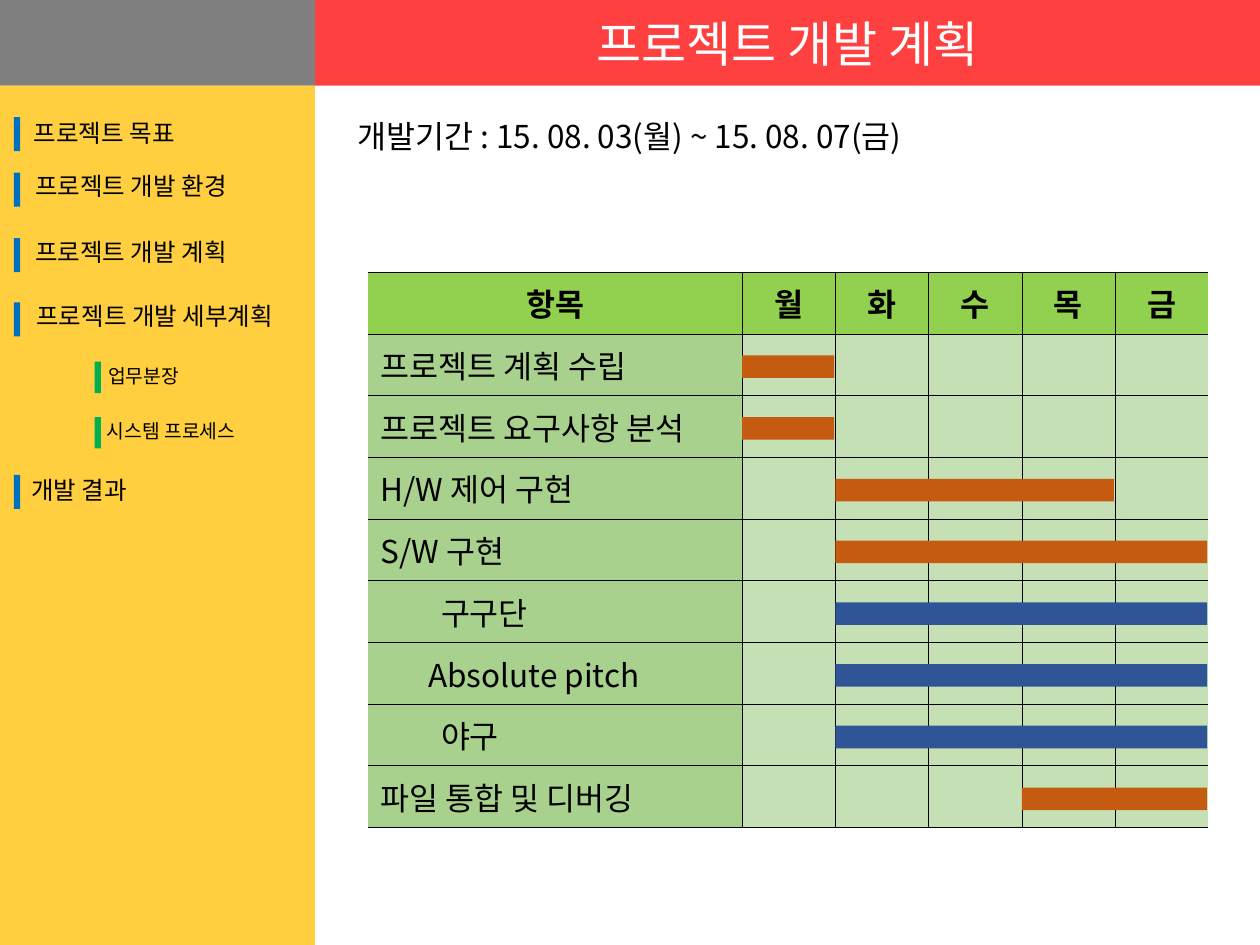
from lxml import etree
from pptx import Presentation
from pptx.dml.color import RGBColor
from pptx.enum.shapes import MSO_SHAPE
from pptx.enum.text import MSO_ANCHOR, MSO_AUTO_SIZE, PP_ALIGN
from pptx.oxml.ns import qn
from pptx.util import Inches, Pt

RECT = MSO_SHAPE.RECTANGLE
MIDDLE = MSO_ANCHOR.MIDDLE
GROW = MSO_AUTO_SIZE.SHAPE_TO_FIT_TEXT
LEFT, CENTER = PP_ALIGN.LEFT, PP_ALIGN.CENTER

NOTO = "Noto Sans CJK KR"
BLUE, GREEN = "0070C0", "00B050"
RUST, NAVY = "C55A11", "2F5597"
ROW, DAY, ITEM = 0.49, 0.74, 2.97
LEFT_X, TOP_Y = 2.92, 2.16
THIN, THICK = 0.23, 0.45

HEADS = ["항목", "월", "화", "수", "목", "금"]
TASKS = [
    ("프로젝트 계획 수립", 0.1, 0, 1, RUST),
    ("프로젝트 요구사항 분석", 0.1, 0, 1, RUST),
    ("H/W 제어 구현", 0.1, 1, 3, RUST),
    ("S/W 구현", 0.1, 1, 4, RUST),
    ("구구단", 0.58, 1, 4, NAVY),
    ("Absolute pitch", 0.48, 1, 4, NAVY),
    ("야구", 0.58, 1, 4, NAVY),
    ("파일 통합 및 디버깅", 0.1, 3, 2, RUST),
]
MENU = [
    ("프로젝트 목표", 0.17, 0.89, 1.39, 0.93),
    ("프로젝트 개발 환경", 0.18, 1.31, 1.83, 1.37),
    ("프로젝트 개발 계획", 0.18, 1.83, 1.83, 1.89),
    ("프로젝트 개발 세부계획", 0.19, 2.34, 2.2, 2.4),
    ("개발 결과", 0.15, 3.72, 1.01, 3.77),
]
SUBS = [
    ("업무분장", 0.76, 2.84, 0.79, 2.87),
    ("시스템 프로세스", 0.75, 3.28, 1.28, 3.31),
]


def color(code):
    return RGBColor.from_string(code)


class Deck:
    def __init__(self):
        self.prs = Presentation()
        self.prs.slide_width = Inches(10)
        self.prs.slide_height = Inches(7.5)
        self.slide = self.prs.slides.add_slide(self.prs.slide_layouts[5])
        self.style = {"size": Pt(18), "name": NOTO, "bold": False}

    def label(self, frame, text, align=LEFT, tint="000000", **extra):
        para = frame.paragraphs[0]
        para.alignment = align
        run = para.add_run()
        run.text = text
        for key, value in {**self.style, **extra}.items():
            setattr(run.font, key, value)
        run.font.color.rgb = color(tint)
        face = etree.SubElement(run._r.get_or_add_rPr(), qn("a:ea"))
        face.set("typeface", NOTO)

    def paint(self, shape, fill, alpha=None):
        shape.fill.solid()
        shape.fill.fore_color.rgb = color(fill)
        if alpha:
            tone = shape._element.spPr.find(".//" + qn("a:srgbClr"))
            etree.SubElement(tone, qn("a:alpha")).set("val", str(alpha * 1000))

    def place(self, shape, box):
        for key, value in zip(("left", "top", "width", "height"), box):
            setattr(shape, key, Inches(value))

    def title(self, text, box, fill, alpha):
        shape = self.slide.shapes.title
        self.place(shape, box)
        self.paint(shape, fill, alpha)
        shape.text_frame.vertical_anchor = MIDDLE
        self.label(shape.text_frame, text, CENTER, "FFFFFF", size=Pt(28))

    def rect(self, box, fill, alpha=None):
        shape = self.slide.shapes.add_shape(RECT, *map(Inches, box))
        shape.shadow.inherit = False
        shape.line.fill.background()
        self.paint(shape, fill, alpha)

    def text(self, text, box, size, wrap=False):
        frame = self.slide.shapes.add_textbox(*map(Inches, box)).text_frame
        frame.word_wrap = wrap
        frame.auto_size = GROW
        self.label(frame, text, size=Pt(size))

    def edges(self, cell, col):
        last = len(HEADS) - 1
        sides = {
            "L": (0, THICK)[col] if col < 2 else THIN,
            "R": THICK if col == 0 else 0 if col == last else THIN,
            "T": THICK,
            "B": THICK,
        }
        props = cell._tc.get_or_add_tcPr()
        for side, width in sides.items():
            line = etree.SubElement(props, qn("a:ln" + side))
            line.set("w", str(Pt(width)))
            if width:
                fill = etree.SubElement(line, qn("a:solidFill"))
                etree.SubElement(fill, qn("a:srgbClr")).set("val", "000000")
            else:
                etree.SubElement(line, qn("a:noFill"))

    def table(self):
        rows, cols = len(TASKS) + 1, len(HEADS)
        box = (LEFT_X, TOP_Y, ITEM + DAY * (cols - 1), ROW * rows)
        frame = self.slide.shapes.add_table(rows, cols, *map(Inches, box))
        grid = frame.table
        for col in range(cols):
            grid.columns[col].width = Inches(DAY if col else ITEM)
        for row in range(rows):
            grid.rows[row].height = Inches(ROW)
            for col in range(cols):
                cell = grid.cell(row, col)
                cell.vertical_anchor = MIDDLE
                self.edges(cell, col)
                cell.fill.solid()
                fill = "92D050" if row == 0 else "C5E0B4" if col else "A9D18E"
                cell.fill.fore_color.rgb = color(fill)
                if row == 0:
                    self.label(cell.text_frame, HEADS[col], CENTER,
                               name="Calibri", bold=True)
                elif col == 0:
                    name, inset = TASKS[row - 1][:2]
                    cell.margin_left = Inches(inset)
                    self.label(cell.text_frame, name)

    def bars(self):
        for row, (_, _, start, days, fill) in enumerate(TASKS):
            self.rect((LEFT_X + ITEM + DAY * start, 2.82 + ROW * row,
                       DAY * days - 0.01, 0.18), fill)

    def menu(self, items, size, tall, mark, fill):
        for text, x, y, width, top in items:
            self.text(text, (x, y, width, tall), size)
            self.rect((mark[0], top, 0.05, mark[1]), fill)


def main():
    deck = Deck()
    deck.table()
    deck.title("프로젝트 개발 계획", (2.5, 0, 7.5, 0.68), "FF0000", 75)
    deck.rect((0, 0, 2.5, 0.68), "7F7F7F")
    deck.rect((0, 0.68, 2.5, 6.82), "FFC000", 75)
    deck.menu(MENU, 14, 0.34, (0.11, 0.27), BLUE)
    deck.menu(SUBS, 11, 0.29, (0.75, 0.25), GREEN)
    deck.bars()
    deck.text("개발기간 : 15. 08. 03(월) ~ 15. 08. 07(금)",
              (2.74, 0.88, 6.97, 0.4), 18, True)
    deck.prs.save("out.pptx")


if __name__ == "__main__":
    main()
